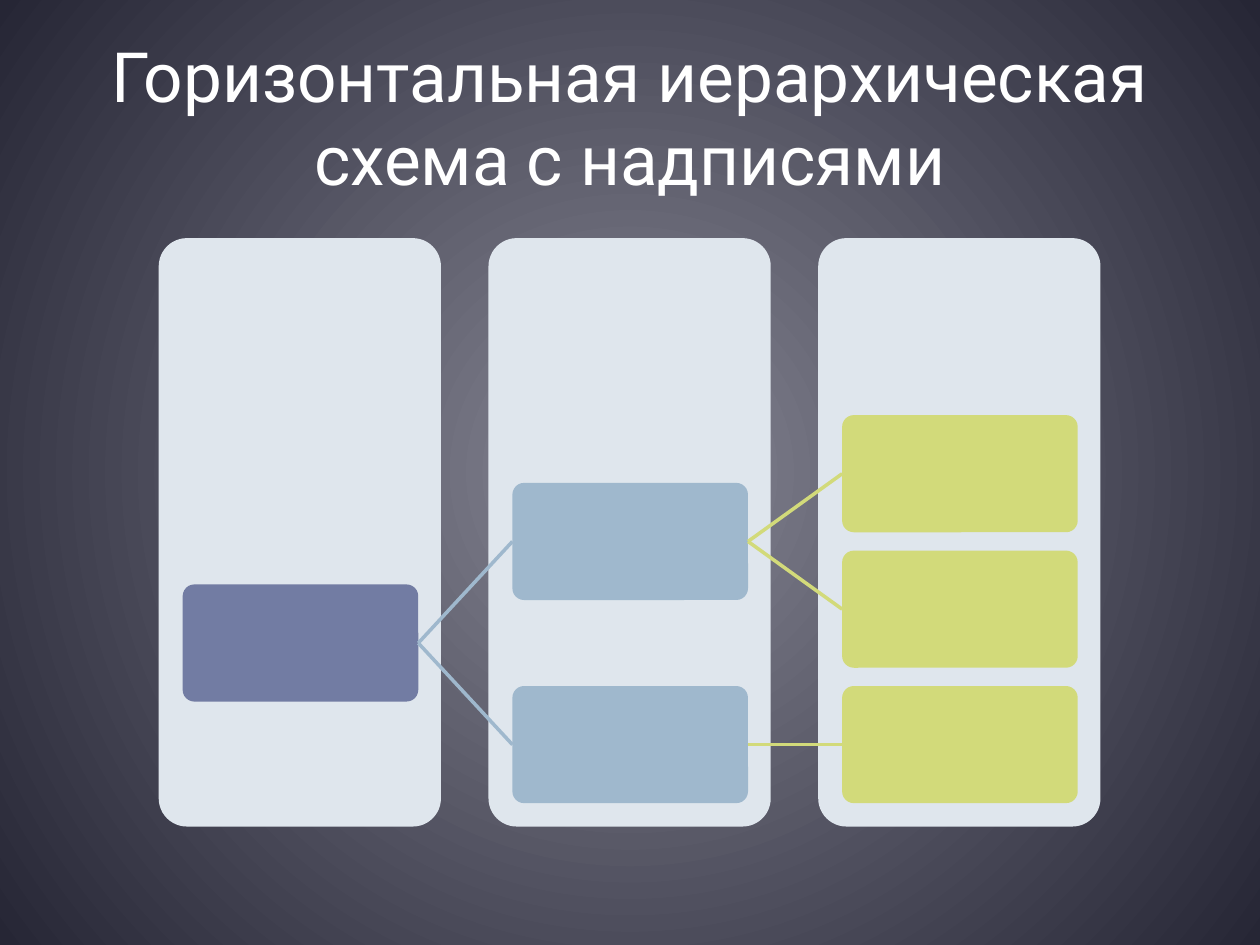
from lxml import etree
from pptx import Presentation
from pptx.dml.color import RGBColor
from pptx.enum import shapes, text
from pptx.oxml import ns
from pptx.util import Inches, Pt

WHITE = RGBColor(0xFF, 0xFF, 0xFF)
GLOW = RGBColor(0x85, 0x85, 0x93)
NIGHT = RGBColor(0x26, 0x26, 0x35)
PANEL = RGBColor(0xDF, 0xE6, 0xED)
LEVELS = [RGBColor(0x72, 0x7C, 0xA3), RGBColor(0x9F, 0xB8, 0xCD), RGBColor(0xD2, 0xDA, 0x7A)]

PANEL_X, PANEL_Y, PANEL_W, PANEL_H = 1.26, 1.89, 2.24, 4.67
NODE_W, NODE_H = 1.87, 0.93
COLUMN_STEP, NODE_X, LEAF_Y, LEAF_STEP = 2.617, 1.45, 3.76, 1.075

# A node is the list of its children.
TREE = [[[], []], [[]]]


def write(tf, content, font="Roboto", size=39.6, color=WHITE, align=text.PP_ALIGN.CENTER):
    """Fill a text frame with one formatted paragraph."""
    tf.word_wrap = True
    tf.auto_size = text.MSO_AUTO_SIZE.NONE
    tf.vertical_anchor = text.MSO_ANCHOR.MIDDLE
    p = tf.paragraphs[0]
    p.alignment = align
    r = p.add_run()
    r.text = content
    r.font.name, r.font.size, r.font.color.rgb = font, Pt(size), color


class Deck:
    """Hold the style and the current slide."""

    def __init__(self):
        self.prs = Presentation()
        self.prs.slide_width, self.prs.slide_height = Inches(10), Inches(7.5)
        self.s = self.prs.slides.add_slide(self.prs.slide_layouts[5])

    def background(self, inner, outer):
        fill = self.s.background.fill
        fill.gradient()
        for stop, color, position in zip(fill.gradient_stops, (inner, outer), (0, 1)):
            stop.color.rgb, stop.position = color, position
        grad = self.s.element.find(".//" + ns.qn("a:gradFill"))
        grad.remove(grad.find(ns.qn("a:lin")))
        circle = etree.SubElement(grad, ns.qn("a:path"), {"path": "circle"})
        etree.SubElement(circle, ns.qn("a:fillToRect"), dict.fromkeys("ltrb", "50000"))

    def title(self, content, x, y, w, h):
        sp = self.s.shapes.title
        sp.left, sp.top, sp.width, sp.height = map(Inches, (x, y, w, h))
        write(sp.text_frame, content)

    def box(self, x, y, w, h, color):
        sp = self.s.shapes.add_shape(
            shapes.MSO_SHAPE.ROUNDED_RECTANGLE, *map(Inches, (x, y, w, h)))
        sp.adjustments[0] = 0.1
        sp.shadow.inherit = False
        sp.fill.solid()
        sp.fill.fore_color.rgb = color
        sp.line.fill.background()

    def link(self, x1, y1, x2, y2, color):
        line = self.s.shapes.add_connector(
            shapes.MSO_CONNECTOR.STRAIGHT, *map(Inches, (x1, y1, x2, y2)))
        line.line.color.rgb, line.line.width = color, Pt(2)
        etree.SubElement(line.element.spPr, ns.qn("a:effectLst"))

    def branch(self, children, leaves, level=0):
        """Draw a subtree and return the height of its root's centre."""
        x = NODE_X + level * COLUMN_STEP
        centres = [self.branch(child, leaves, level + 1) for child in children]
        y = (centres[0] + centres[-1]) / 2 if centres else LEAF_Y + next(leaves) * LEAF_STEP
        self.box(x, y - NODE_H / 2, NODE_W, NODE_H, LEVELS[level])
        for centre in centres:
            self.link(x + NODE_W, y, x + COLUMN_STEP, centre, LEVELS[level + 1])
        return y


deck = Deck()
deck.background(GLOW, NIGHT)
deck.title("Горизонтальная иерархическая схема с надписями", 0.5, 0.3, 9, 1.25)
for column in range(len(LEVELS)):
    deck.box(PANEL_X + column * COLUMN_STEP, PANEL_Y, PANEL_W, PANEL_H, PANEL)
deck.branch(TREE, iter(range(3)))
deck.prs.save("out.pptx")
